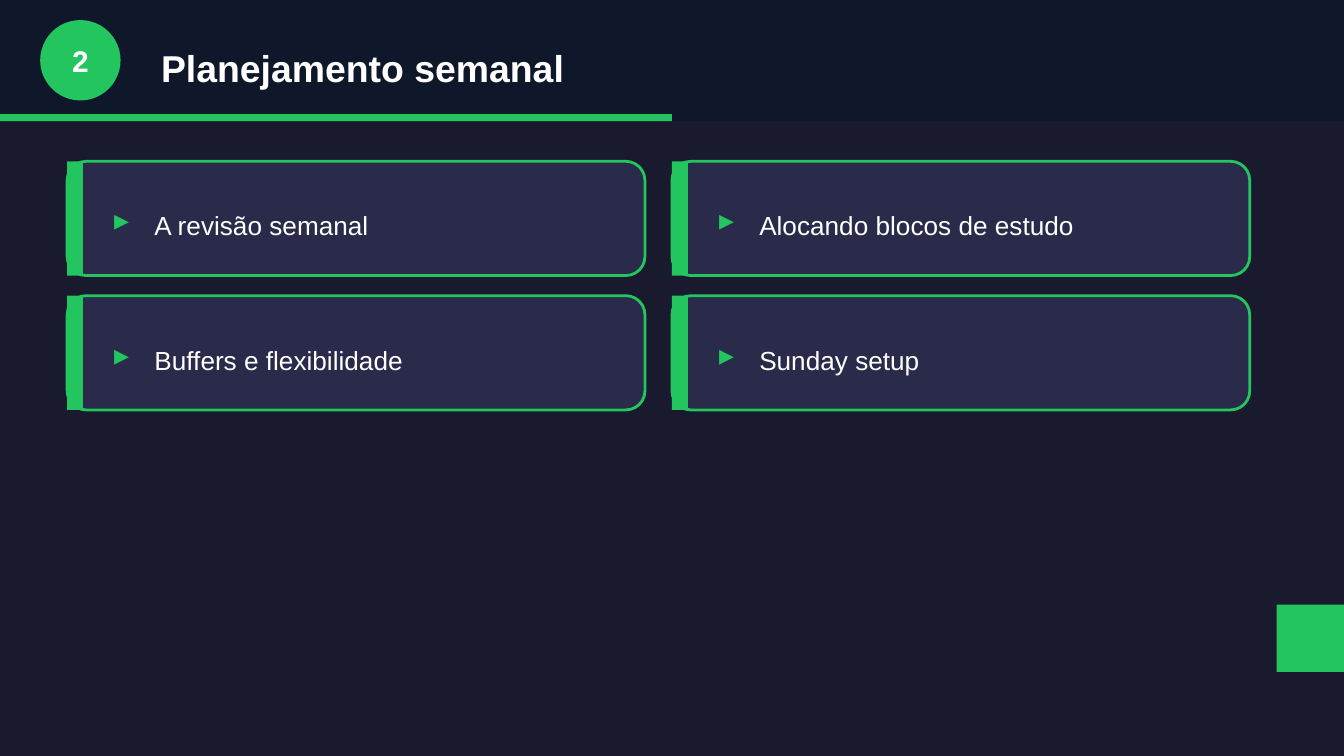
from dataclasses import dataclass

from pptx import Presentation
from pptx.dml.color import RGBColor
from pptx.enum.shapes import MSO_SHAPE as Shape
from pptx.enum.text import MSO_ANCHOR as Anchor, MSO_AUTO_SIZE as AutoSize, PP_ALIGN as Align
from pptx.shapes.autoshape import Shape as AutoShape
from pptx.slide import Slide
from pptx.util import Cm, Pt

COLORS = {
    "background": "1A1A2E",
    "header": "0F172A",
    "accent": "22C55E",
    "card": "2A2A4A",
    "text": "FFFFFF",
}
FONT = "Arial"


@dataclass(frozen=True)
class Box:
    """Position and size in centimetres."""
    left: float
    top: float
    width: float
    height: float


@dataclass(frozen=True)
class TextStyle:
    size: int
    color: str = "text"
    bold: bool = False
    align: Align = Align.LEFT


HEADING = TextStyle(20, bold=True)
NUMBER = TextStyle(16, bold=True, align=Align.CENTER)
MARKER = TextStyle(16, "accent", bold=True)
TOPIC = TextStyle(14)


def rgb(name: str) -> RGBColor:
    return RGBColor.from_string(COLORS[name])


def draw_shape(page: Slide, kind: Shape, box: Box, fill: str, line: str | None = None) -> AutoShape:
    shape = page.shapes.add_shape(
        kind, Cm(box.left), Cm(box.top), Cm(box.width), Cm(box.height))
    shape.shadow.inherit = False
    shape.fill.solid()
    shape.fill.fore_color.rgb = rgb(fill)
    if line:
        shape.line.color.rgb = rgb(line)
        shape.line.width = Pt(1.5)
    else:
        shape.line.fill.background()
    return shape


def write_text(shape: AutoShape, text: str, style: TextStyle) -> None:
    frame = shape.text_frame
    frame.word_wrap = True
    frame.auto_size = AutoSize.NONE
    frame.vertical_anchor = Anchor.MIDDLE
    para = frame.paragraphs[0]
    para.alignment = style.align
    span = para.add_run()
    span.text = text
    span.font.name = FONT
    span.font.size = Pt(style.size)
    span.font.bold = style.bold
    span.font.color.rgb = rgb(style.color)


def draw_text(page: Slide, box: Box, text: str, style: TextStyle) -> None:
    shape = page.shapes.add_textbox(
        Cm(box.left), Cm(box.top), Cm(box.width), Cm(box.height))
    write_text(shape, text, style)


def draw_card(page: Slide, left: float, top: float, topic: str) -> None:
    width, height = 10.92, 2.16
    draw_shape(page, Shape.ROUNDED_RECTANGLE, Box(left, top, width, height), "card", "accent")
    draw_shape(page, Shape.RECTANGLE, Box(left, top, 0.3, height), "accent")
    text_top = top + 0.64
    draw_text(page, Box(left + 0.64, text_top, 0.76, 0.89), "▸", MARKER)
    draw_text(page, Box(left + 1.4, text_top, 8.89, 1.14), topic, TOPIC)


def main() -> None:
    deck = Presentation()
    deck.slide_width, deck.slide_height = Cm(25.4), Cm(14.29)
    page = deck.slides.add_slide(deck.slide_layouts[5])
    page.background.fill.solid()
    page.background.fill.fore_color.rgb = rgb("background")

    # Header band with progress bar and numbered badge
    draw_shape(page, Shape.RECTANGLE, Box(0, 0, 25.4, 2.29), "header")
    draw_shape(page, Shape.RECTANGLE, Box(0, 2.16, 12.7, 0.13), "accent")
    badge = draw_shape(page, Shape.OVAL, Box(0.76, 0.38, 1.52, 1.52), "accent")
    draw_text(page, Box(0.76, 0.64, 1.52, 1.02), "2", NUMBER)

    # Title, raised above the header band
    title = page.shapes.title
    title.left, title.top = Cm(2.79), Cm(0.64)
    title.width, title.height = Cm(21.59), Cm(1.27)
    write_text(title, "Planejamento semanal", HEADING)
    badge.element.addnext(title.element)

    # Topic cards in two columns
    topics = ["A revisão semanal", "Alocando blocos de estudo",
              "Buffers e flexibilidade", "Sunday setup"]
    for index, topic in enumerate(topics):
        row, column = divmod(index, 2)
        draw_card(page, 1.27 + column * 11.43, 3.05 + row * 2.54, topic)

    # Square on the right edge
    draw_shape(page, Shape.RECTANGLE, Box(24.13, 11.43, 1.27, 1.27), "accent")

    deck.save("out.pptx")


if __name__ == "__main__":
    main()
